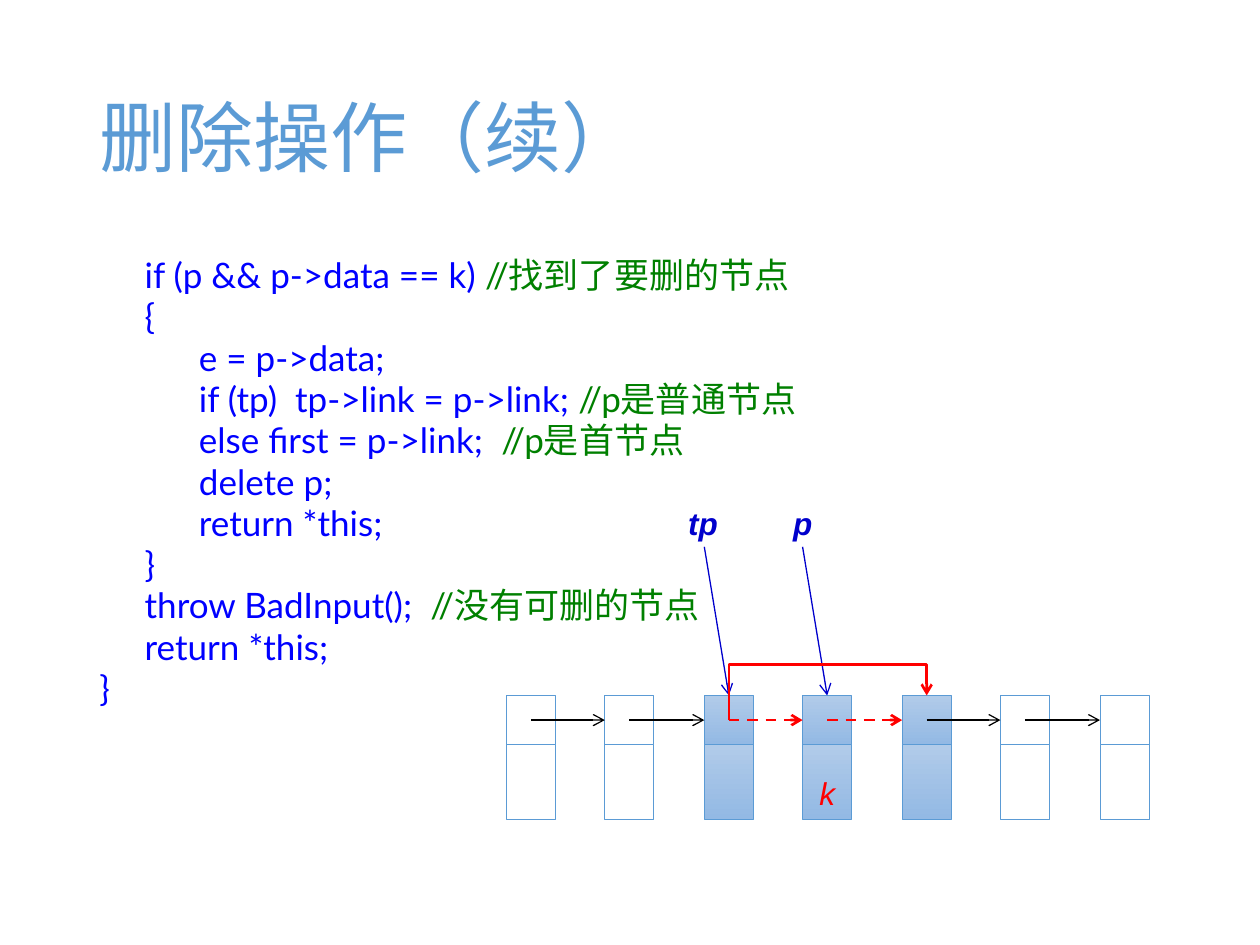
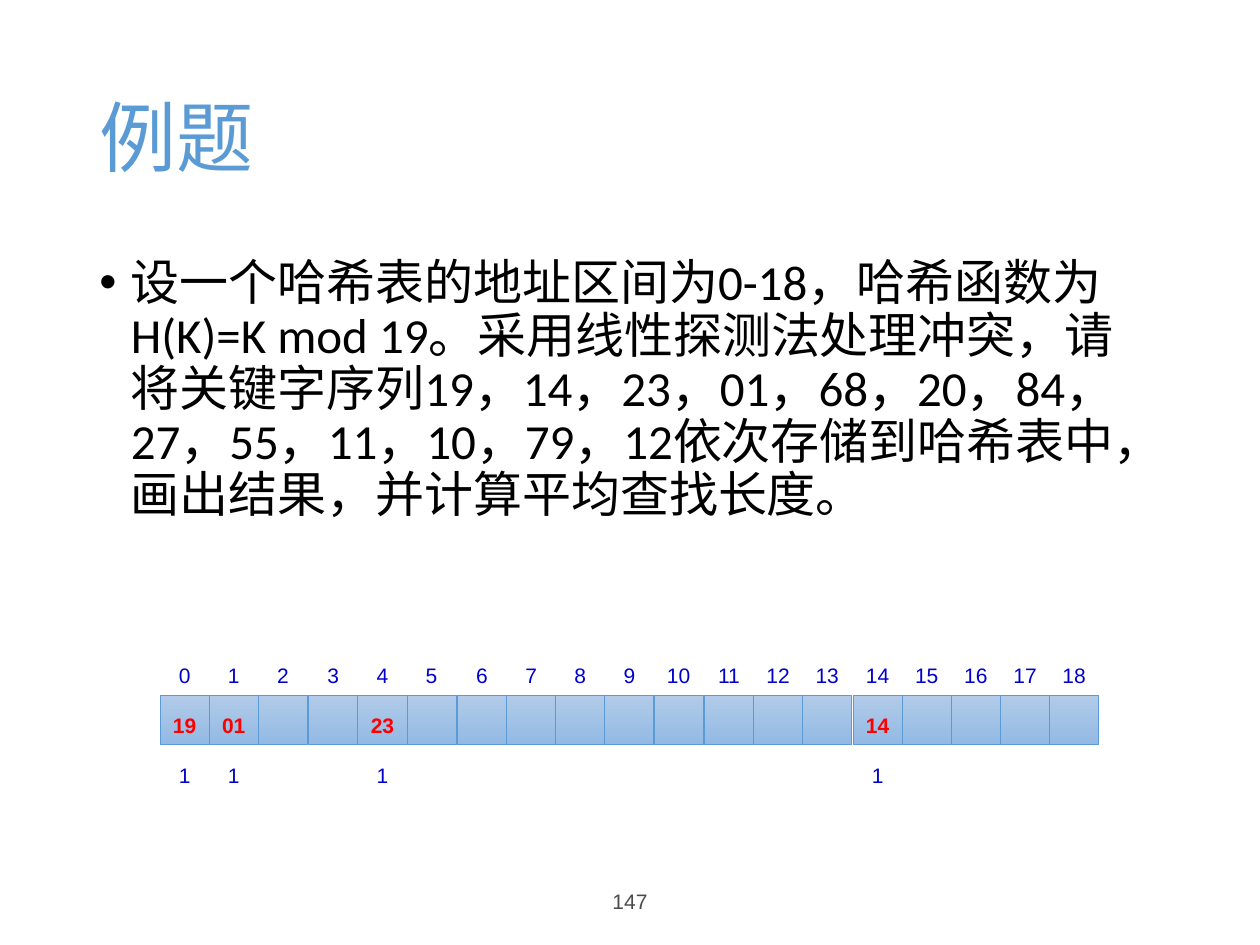
from dataclasses import dataclass

from lxml import etree
from pptx import Presentation
from pptx.dml.color import RGBColor
from pptx.enum.dml import MSO_LINE
from pptx.enum.shapes import MSO_CONNECTOR, MSO_SHAPE
from pptx.enum.text import MSO_ANCHOR, PP_ALIGN
from pptx.oxml.ns import qn
from pptx.util import Pt

PX = 9144  # 100 px to the inch
RECTANGLE = MSO_SHAPE.RECTANGLE
STRAIGHT, ELBOW = MSO_CONNECTOR.STRAIGHT, MSO_CONNECTOR.ELBOW
DASH = MSO_LINE.DASH
TOP, MIDDLE = MSO_ANCHOR.TOP, MSO_ANCHOR.MIDDLE
LEFT, CENTER = PP_ALIGN.LEFT, PP_ALIGN.CENTER
TOP_SIDE, LEFT_SIDE = 0, 1


@dataclass(frozen=True)
class Theme:
    accent: str = "5B9BD5"
    shade_start: str = "B1CBE9"
    shade_end: str = "93B9E4"
    white: str = "FFFFFF"
    black: str = "000000"
    code: str = "0000FF"
    comment: str = "008000"
    label: str = "0000CC"
    red: str = "FF0000"
    footer: str = "4B4B4B"
    title_size: int = 44
    body_size: int = 28
    code_size: int = 20
    pointer_size: int = 18
    small_size: int = 12


THEME = Theme()


def add_text(slide, paragraphs, box, *, size, font="Arial", bold=False, italic=False,
             align=CENTER, anchor=TOP, inset=0, line_spacing=None, space_before=0,
             indents=None, bullet=None):
    """Add a text box; each paragraph is a list of (text, colour) runs."""
    frame = slide.shapes.add_textbox(*[value * PX for value in box]).text_frame
    frame.word_wrap = True
    frame.vertical_anchor = anchor
    frame.margin_left = frame.margin_right = inset * PX
    for index, runs in enumerate(paragraphs):
        paragraph = frame.paragraphs[0] if index == 0 else frame.add_paragraph()
        paragraph.alignment = align
        paragraph.space_before = Pt(space_before)
        if line_spacing:
            paragraph.line_spacing = line_spacing
        properties = paragraph._p.get_or_add_pPr()
        if indents:
            properties.set("marL", str(indents[index] * PX))
        if bullet:
            properties.set("indent", str(-indents[index] * PX))
            etree.SubElement(properties, qn("a:buFont"), typeface="Arial")
            etree.SubElement(properties, qn("a:buChar"), char=bullet)
        for text, color in runs:
            run = paragraph.add_run()
            run.text = text
            run.font.name = font
            run.font.size = Pt(size)
            run.font.bold = bold
            run.font.italic = italic
            run.font.color.rgb = RGBColor.from_string(color)


def add_arrow(slide, begin, end, *, color, width=0.75, dash=None, kind=STRAIGHT):
    """Add an arrow between two (x, y) points given in EMU."""
    connector = slide.shapes.add_connector(kind, *begin, *end)
    connector.line.color.rgb = RGBColor.from_string(color)
    connector.line.width = Pt(width)
    if dash:
        connector.line.dash_style = dash
    etree.SubElement(connector.line._get_or_add_ln(), qn("a:tailEnd"), type="arrow")
    etree.SubElement(connector._element.spPr, qn("a:effectLst"))
    return connector


presentation = Presentation()
presentation.slide_width = 1000 * PX
presentation.slide_height = 750 * PX
blank_layout = presentation.slide_layouts[6]
BODY_BOX = (69, 200, 862, 476)

# Titles
slides = []
for title in ("删除操作（续）", "例题"):
    slide = presentation.slides.add_slide(blank_layout)
    add_text(slide, [[(title, THEME.accent)]], (69, 40, 862, 145), size=THEME.title_size,
             font="Calibri", align=LEFT, anchor=MIDDLE, inset=10, line_spacing=0.9)
    slides.append(slide)
delete_slide, hash_slide = slides

# Code: nesting level, statement, comment
code_lines = [
    (1, "if (p && p->data == k) ", "//找到了要删的节点"),
    (1, "{", ""),
    (2, "e = p->data;", ""),
    (2, "if (tp)  tp->link = p->link;", " //p是普通节点"),
    (2, "else first = p->link;  ", "//p是首节点"),
    (2, "delete p;", ""),
    (2, "return *this;", ""),
    (1, "}", ""),
    (1, "throw BadInput();  ", "//没有可删的节点"),
    (1, "return *this;", ""),
    (0, "}", ""),
]
code_paragraphs = [
    [(text, color) for text, color in ((statement, THEME.code), (comment, THEME.comment)) if text]
    for _, statement, comment in code_lines
]
level_indents = (0, 36, 79)
add_text(delete_slide, code_paragraphs, BODY_BOX, size=THEME.code_size, font="Lato",
         align=LEFT, inset=10, line_spacing=0.9, space_before=2,
         indents=[level_indents[level] for level, _, _ in code_lines])

# Exercise
exercise = ("设一个哈希表的地址区间为0-18，哈希函数为H(K)=K mod 19。采用线性探测法处理冲突，"
            "请将关键字序列19，14，23，01，68，20，84，27，55，11，10，79，12依次存储到哈希表中，"
            "画出结果，并计算平均查找长度。")
add_text(hash_slide, [[(exercise, THEME.black)]], BODY_BOX, size=THEME.body_size,
         font="Calibri", align=LEFT, inset=10, line_spacing=0.9, space_before=10,
         indents=[25], bullet="•")
add_text(hash_slide, [[("147", THEME.footer)]], (331, 695, 338, 40),
         size=THEME.small_size, anchor=MIDDLE)

# Both diagrams stand on the same columns: list nodes fill every second one
SLOT_COUNT = 19
columns = [127 + round(index * 39.25) for index in range(SLOT_COUNT + 1)]
CELL_TOP, CELL_HEIGHT, DATA_HEIGHT = 552, 39, 59
node_columns = range(7, SLOT_COUNT + 1, 2)
shaded_columns = (11, 13, 15)

cells = []
for column in node_columns:
    shaded = column in shaded_columns
    cells.append((delete_slide, column, CELL_TOP + CELL_HEIGHT, DATA_HEIGHT, shaded))
    cells.append((delete_slide, column, CELL_TOP, CELL_HEIGHT, shaded))
for column in range(SLOT_COUNT):
    cells.append((hash_slide, column, CELL_TOP, CELL_HEIGHT, True))

links = []
for slide, column, top, height, shaded in cells:
    cell = slide.shapes.add_shape(RECTANGLE, columns[column] * PX, top * PX, 39 * PX, height * PX)
    cell.shadow.inherit = False
    cell.line.color.rgb = RGBColor.from_string(THEME.accent)
    cell.line.width = Pt(0.5)
    if shaded:
        cell.fill.gradient()
        cell.fill.gradient_angle = 270
        for stop, color in zip(cell.fill.gradient_stops, (THEME.shade_start, THEME.shade_end)):
            stop.color.rgb = RGBColor.from_string(color)
    else:
        cell.fill.solid()
        cell.fill.fore_color.rgb = RGBColor.from_string(THEME.white)
    if slide is delete_slide and top == CELL_TOP:
        links.append(cell)

# List arrows
add_text(delete_slide, [[("k", THEME.red)]], (columns[13], 609, 39, 40),
         size=THEME.pointer_size, italic=True)
centers = [(link.left + link.width // 2, link.top + link.height // 2) for link in links]
for index, target in enumerate(links[1:]):
    removed = index in (2, 3)
    arrow = add_arrow(delete_slide, centers[index], (target.left, centers[index + 1][1]),
                      color=THEME.red if removed else THEME.black,
                      width=1.5 if removed else 0.75, dash=DASH if removed else None)
    arrow.end_connect(target, LEFT_SIDE)

for name, column, target in (("tp", 11, links[2]), ("p", 13, links[3])):
    arrow = add_arrow(delete_slide, (target.left, 434 * PX),
                      (target.left + target.width // 2, target.top), color=THEME.label)
    arrow.end_connect(target, TOP_SIDE)
    add_text(delete_slide, [[(name, THEME.label)]], (columns[column - 1], 395, 78, 40),
             size=THEME.pointer_size, bold=True, italic=True)

# New link that goes up and over the removed node
bypass = add_arrow(delete_slide, centers[2], (centers[4][0], links[4].top),
                   color=THEME.red, width=1.5, kind=ELBOW)
geometry = bypass._element.spPr.find(qn("a:prstGeom"))
geometry.set("prst", "bentConnector4")
adjustments = geometry.find(qn("a:avLst"))
for name, value in (("adj1", 0), ("adj2", 227400)):
    etree.SubElement(adjustments, qn("a:gd"), name=name, fmla=f"val {value}")

# Hash table: addresses above, stored keys inside, probe counts below
labels = [(slot, 521, str(slot), THEME.label, False) for slot in range(SLOT_COUNT)]
for slot, key in ((0, "19"), (1, "01"), (4, "23"), (14, "14")):
    labels.append((slot, 561, key, THEME.red, True))
    labels.append((slot, 600, "1", THEME.label, False))
for slot, top, text, color, bold in labels:
    add_text(hash_slide, [[(text, color)]], (columns[slot], top, 39, 30),
             size=THEME.small_size, bold=bold)

presentation.save("out.pptx")
